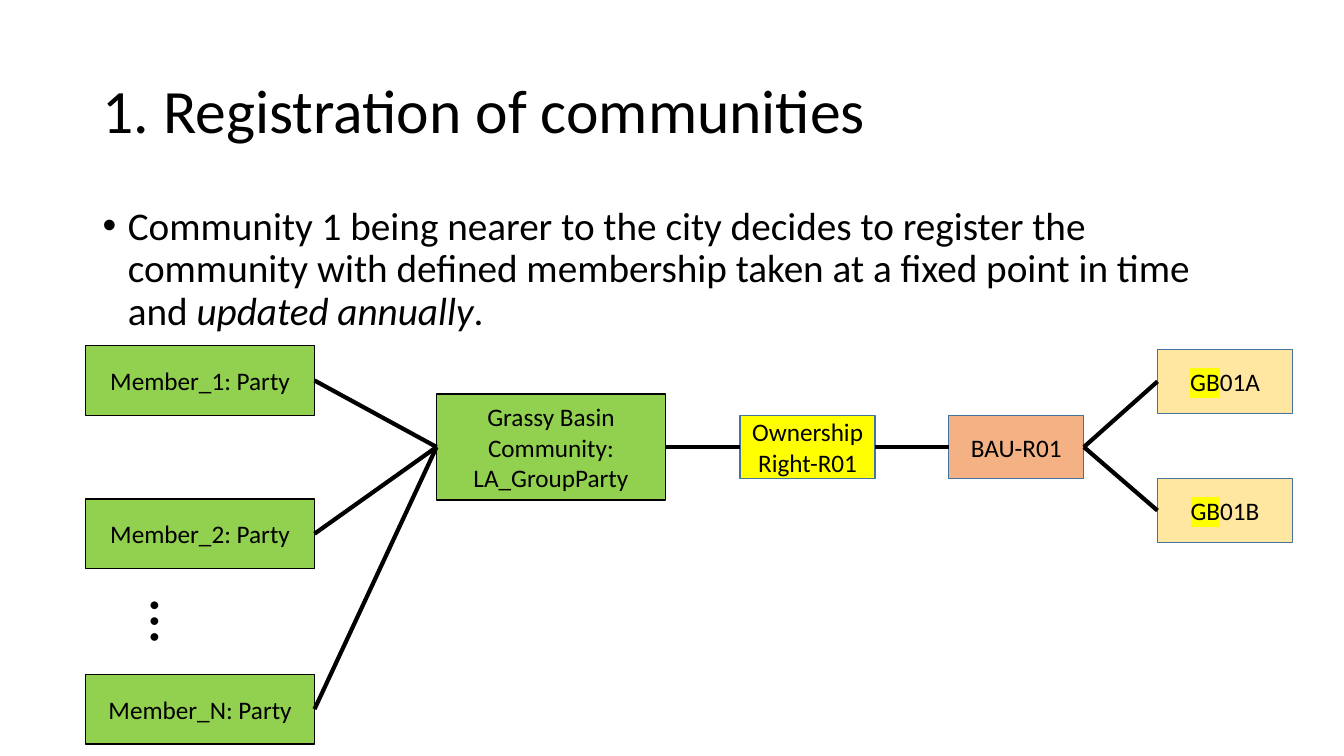
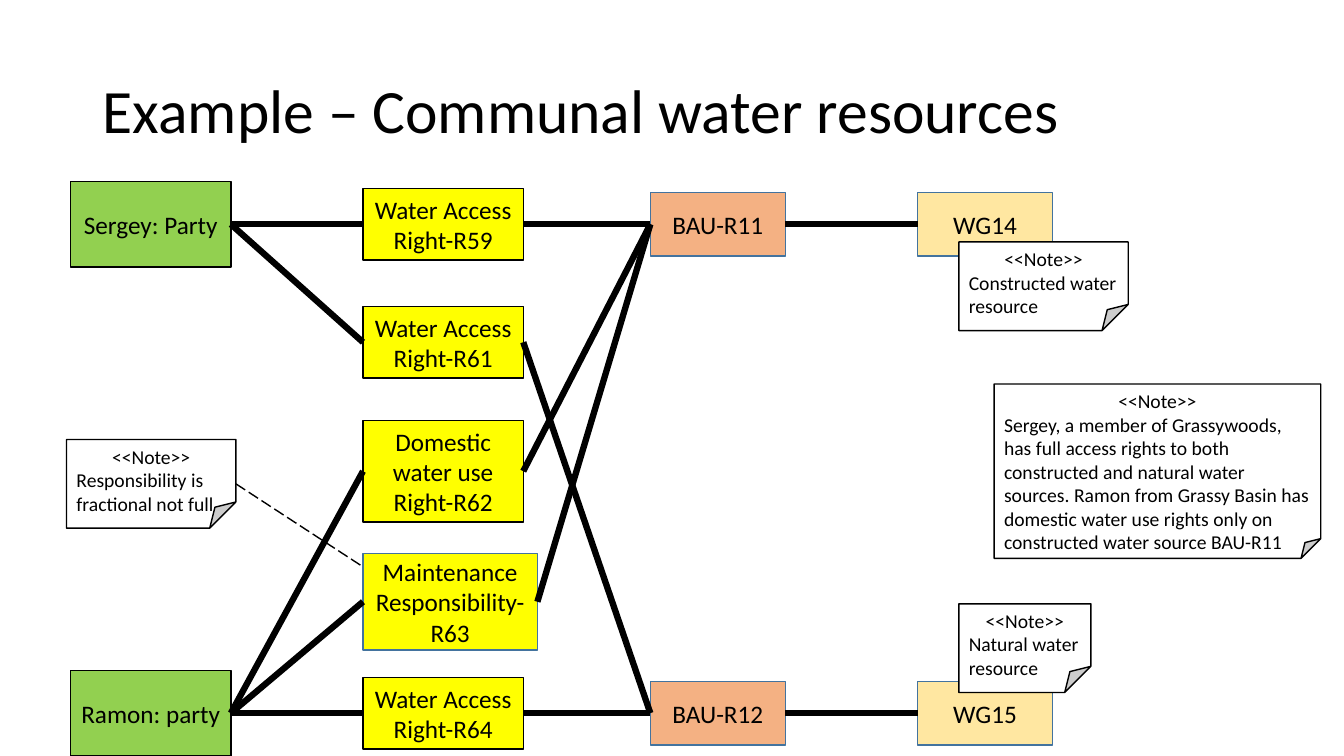
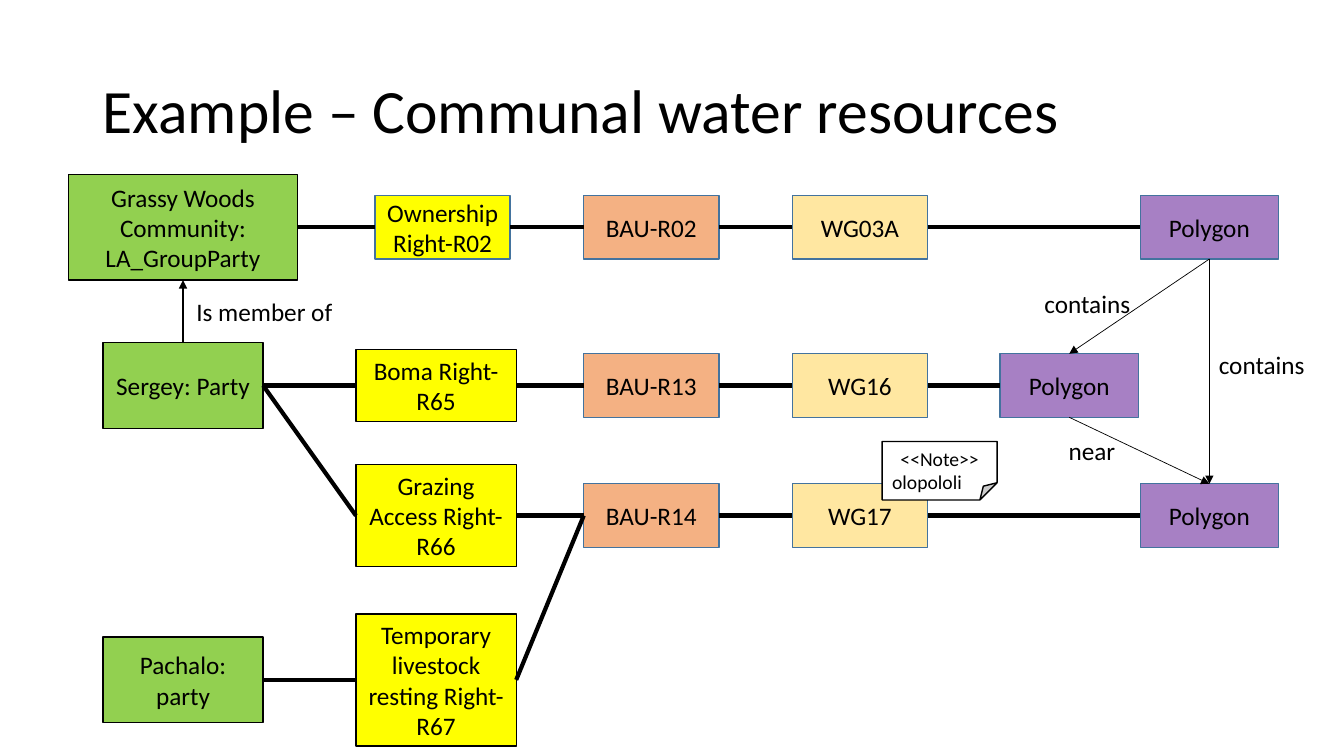
from lxml import etree
from pptx import Presentation, util as u
from pptx.dml.color import RGBColor
from pptx.enum import dml, shapes, text
from pptx.oxml.ns import qn

PX = 9144  # EMU in one px, 100 px to the inch
FONT = "Calibri"
COLOURS = {
    "ink": "000000", "paper": "FFFFFF", "edge": "43739E", "green": "92D050",
    "yellow": "FFFF00", "orange": "F4B183", "gold": "FFD966", "purple": "7030A0",
}
# Kind of box: fill, opacity in percent, outline, usual width and height
KINDS = {
    "party": ("green", 100, "ink", 159, 85),
    "right": ("yellow", 100, "ink", 159, 71),
    "claim": ("yellow", 100, "edge", 134, 63),
    "unit": ("orange", 100, "edge", 134, 63),
    "parcel": ("gold", 61, "edge", 134, 63),
    "polygon": ("purple", 61, "edge", 137, 63),
}
GROUP = (227, 105)
MEMBER = (227, 69)
TOP, LEFT, BOTTOM, RIGHT = range(4)  # connection sites of a rectangle
ACROSS, UP, DOWN = (RIGHT, LEFT), (TOP, BOTTOM), (BOTTOM, TOP)


def px(*lengths):
    return [u.Emu(length * PX) for length in lengths]


def rgb(name):
    return RGBColor.from_string(COLOURS[name])


def add_span(para, words, size, italic=False, mark=None, font=FONT):
    span = para.add_run()
    span.text = words
    span.font.size = u.Pt(size)
    span.font.italic = italic
    span.font.color.rgb = rgb("ink")
    span.font.name = font
    if mark:
        highlight = etree.Element(qn("a:highlight"))
        etree.SubElement(highlight, qn("a:srgbClr"), val=COLOURS[mark])
        span.font._element.find(qn("a:solidFill")).addnext(highlight)


class Deck:
    def __init__(self):
        self.file = Presentation()
        self.file.slide_width, self.file.slide_height = px(1333, 750)
        self.page = None
        self.weight = 3

    def start(self, title, weight=3):
        """Open a page with its title; weight is that of its links."""
        self.page = self.file.slides.add_slide(self.file.slide_layouts[6])
        self.weight = weight
        frame = self.text_box(92, 40, 1150, 145)
        frame.vertical_anchor = text.MSO_ANCHOR.MIDDLE
        frame.paragraphs[0].line_spacing = 0.9
        add_span(frame.paragraphs[0], title, 44)

    def text_box(self, left, top, width, height, wrap=True):
        box = self.page.shapes.add_textbox(*px(left, top, width, height))
        box.text_frame.word_wrap = wrap
        return box.text_frame

    def bullet(self, spans):
        para = self.text_box(92, 200, 1150, 476).paragraphs[0]
        layout = para._p.get_or_add_pPr()
        layout.set("marL", str(25 * PX))
        layout.set("indent", str(-25 * PX))
        etree.SubElement(layout, qn("a:buFont"), typeface="Arial")
        etree.SubElement(layout, qn("a:buChar"), char="•")
        para.line_spacing = 0.9
        for words, italic in spans:
            add_span(para, words, 28, italic)

    def label(self, left, top, width, words):
        frame = self.text_box(left, top, width, 40, wrap=False)
        add_span(frame.paragraphs[0], words, 18)

    def dots(self, left, top):
        frame = self.text_box(left, top, 94, 40)
        frame._txBody.bodyPr.set("vert", "vert")
        add_span(frame.paragraphs[0], "…", 44, font="Lato")

    def shape(self, preset, bounds, fill, outline):
        shape = self.page.shapes.add_shape(preset, *px(*bounds))
        shape.shadow.inherit = False
        shape.fill.solid()
        shape.fill.fore_color.rgb = rgb(fill)
        shape.line.color.rgb = rgb(outline)
        shape.line.width = u.Pt(1)
        shape.text_frame.word_wrap = True
        return shape

    def box(self, kind, left, middle, words, size=None, marked=""):
        """Box centred on the row at middle; marked text leads highlighted."""
        fill, opacity, outline, *usual = KINDS[kind]
        width, height = size or usual
        bounds = (left, middle - height // 2, width, height)
        box = self.shape(shapes.MSO_SHAPE.RECTANGLE, bounds, fill, outline)
        if opacity < 100:
            colour = box._element.spPr.find(qn("a:solidFill"))[0]
            etree.SubElement(colour, qn("a:alpha"), val=str(opacity * 1000))
        box.text_frame.vertical_anchor = text.MSO_ANCHOR.MIDDLE
        para = box.text_frame.paragraphs[0]
        para.alignment = text.PP_ALIGN.CENTER
        if marked:
            add_span(para, marked, 18, mark="yellow")
        add_span(para, words, 18)
        return box

    def note(self, left, top, width, height, words, fold=295):
        """Note whose folded corner is given in thousandths."""
        bounds = (left, top, width, height)
        note = self.shape(shapes.MSO_SHAPE.FOLDED_CORNER, bounds, "paper", "ink")
        guides = note._element.spPr.find(qn("a:prstGeom")).get_or_add_avLst()
        etree.SubElement(guides, qn("a:gd"), name="adj", fmla=f"val {fold * 100}")
        frame = note.text_frame
        frame.vertical_anchor = text.MSO_ANCHOR.TOP
        head, body = frame.paragraphs[0], frame.add_paragraph()
        head.alignment = text.PP_ALIGN.CENTER
        body.alignment = text.PP_ALIGN.LEFT
        add_span(head, "<<Note>>", 14)
        add_span(body, words, 14)
        return note

    def line(self, weight, x=0, y=0):
        """Straight line that ends at x, y until it is connected."""
        line = self.page.shapes.add_connector(
            shapes.MSO_CONNECTOR.STRAIGHT, *px(0, 0, x, y))
        line.line.color.rgb = rgb("ink")
        line.line.width = u.Pt(weight)
        etree.SubElement(line._element.spPr, qn("a:effectLst"))
        return line

    def link(self, start, end, sides=ACROSS, weight=None):
        line = self.line(weight or self.weight)
        line.begin_connect(start, sides[0])
        line.end_connect(end, sides[1])
        return line

    def arrow(self, start, end, sides, weight=0.5):
        line = self.link(start, end, sides, weight)
        outline = line._element.spPr.find(qn("a:ln"))
        etree.SubElement(outline, qn("a:tailEnd"), type="triangle")

    def chain(self, *boxes):
        for start, end in zip(boxes, boxes[1:]):
            self.link(start, end)

    def tie(self, note, x, y):
        line = self.line(1, x, y)
        line.begin_connect(note, RIGHT)
        line.line.dash_style = dml.MSO_LINE.LONG_DASH


def registration(deck):
    deck.start("1. Registration of communities")
    deck.bullet([
        ("Community 1 being nearer to the city decides to register the community "
         "with defined membership taken at a fixed point in time and ", False),
        ("updated annually", True), (".", False)])
    row = 443
    community = deck.box("party", 433, row, "Grassy Basin Community: LA_GroupParty", GROUP)
    right = deck.box("claim", 734, row, "Ownership Right-R01")
    unit = deck.box("unit", 941, row, "BAU-R01")
    deck.chain(community, right, unit)

    # Members on the left, parcels on the right
    for number, middle in (("1", 377), ("2", 529), ("N", 703)):
        member = deck.box("party", 85, middle, f"Member_{number}: Party", MEMBER)
        deck.link(member, community)
    deck.dots(122, 584)
    for ending, middle in (("01A", 378), ("01B", 506)):
        deck.link(unit, deck.box("parcel", 1148, middle, ending, marked="GB"))


def water_rights(deck):
    deck.start("Example – Communal water resources", weight=4.5)
    first, last = 222, 707
    rights = 360

    # Parties, rights, units and parcels, column by column
    sergey = deck.box("party", 70, first, "Sergey: Party")
    ramon = deck.box("party", 70, last, "Ramon: party")
    access_59 = deck.box("right", rights, first, "Water Access Right-R59")
    access_61 = deck.box("right", rights, 339, "Water Access Right-R61")
    domestic = deck.box("right", rights, 467, "Domestic water use Right-R62", (159, 101))
    upkeep = deck.box("claim", rights, 597, "Maintenance Responsibility-R63", (173, 96))
    access_64 = deck.box("right", rights, last, "Water Access Right-R64")
    unit_11 = deck.box("unit", 645, first, "BAU-R11")
    unit_12 = deck.box("unit", 645, last, "BAU-R12")
    built = deck.box("parcel", 910, first, "WG14")
    natural = deck.box("parcel", 910, last, "WG15")

    # Links
    deck.chain(sergey, access_59, unit_11, built)
    deck.chain(ramon, access_64, unit_12, natural)
    deck.chain(sergey, access_61, unit_12)
    deck.chain(ramon, domestic, unit_11)
    deck.chain(ramon, upkeep, unit_11)

    # Notes
    deck.note(951, 240, 168, 88, "Constructed water resource")
    deck.note(951, 599, 131, 88, "Natural water resource")
    deck.note(
        986, 381, 324, 173,
        "Sergey, a member of Grassywoods, has full access rights to both constructed "
        "and natural water sources. Ramon from Grassy Basin has domestic water use "
        "rights only on constructed water source BAU-R11", fold=113)
    fraction = deck.note(66, 436, 168, 88, "Responsibility is fractional not full")
    deck.tie(fraction, 358, 561)


def land_rights(deck):
    deck.start("Example – Communal water resources")
    rows = (225, 382, 511, 674)
    rights = 353

    # Parties and rights
    community = deck.box("party", 68, rows[0], "Grassy Woods Community: LA_GroupParty", GROUP)
    sergey = deck.box("party", 102, rows[1], "Sergey: Party")
    pachalo = deck.box("party", 102, rows[3], "Pachalo: party")
    ownership = deck.box("claim", 372, rows[0], "Ownership Right-R02")
    boma = deck.box("right", rights, rows[1], "Boma Right-R65")
    grazing = deck.box("right", rights, rows[2], "Grazing Access Right-R66", (159, 101))
    resting = deck.box("right", rights, rows[3], "Temporary livestock resting Right-R67",
                       (159, 131))

    # Units, parcels and polygons of the first three rows
    units, polygons = [], []
    for middle, unit_name, parcel_name, polygon_left in zip(
            rows, ("BAU-R02", "BAU-R13", "BAU-R14"), ("WG03A", "WG16", "WG17"),
            (1131, 992, 1131)):
        unit = deck.box("unit", 579, middle, unit_name)
        parcel = deck.box("parcel", 786, middle, parcel_name)
        polygon = deck.box("polygon", polygon_left, middle, "Polygon")
        deck.chain(unit, parcel, polygon)
        units.append(unit)
        polygons.append(polygon)

    # Links from parties to units
    deck.chain(community, ownership, units[0])
    deck.chain(sergey, boma, units[1])
    deck.chain(sergey, grazing, units[2])
    deck.chain(pachalo, resting, units[2])

    # Named relations
    outer, inner, near = polygons
    deck.arrow(sergey, community, UP, weight=2)
    deck.arrow(outer, inner, DOWN)
    deck.arrow(outer, near, DOWN)
    deck.arrow(inner, near, DOWN)
    deck.label(185, 289, 157, "Is member of")
    deck.label(1026, 281, 106, "contains")
    deck.label(1199, 342, 106, "contains")
    deck.label(1050, 427, 67, "near")
    deck.note(875, 438, 114, 58, "olopololi")


def main():
    deck = Deck()
    registration(deck)
    water_rights(deck)
    land_rights(deck)
    deck.file.save("out.pptx")


if __name__ == "__main__":
    main()
